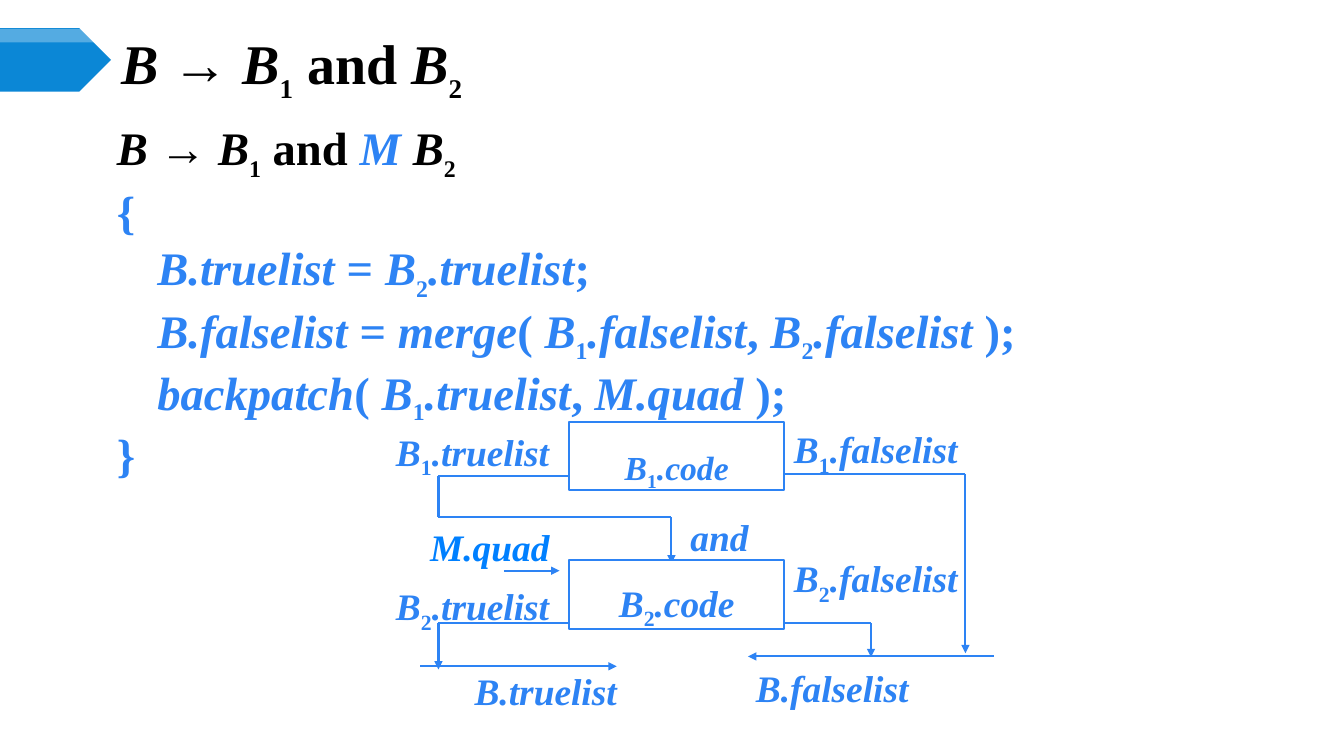
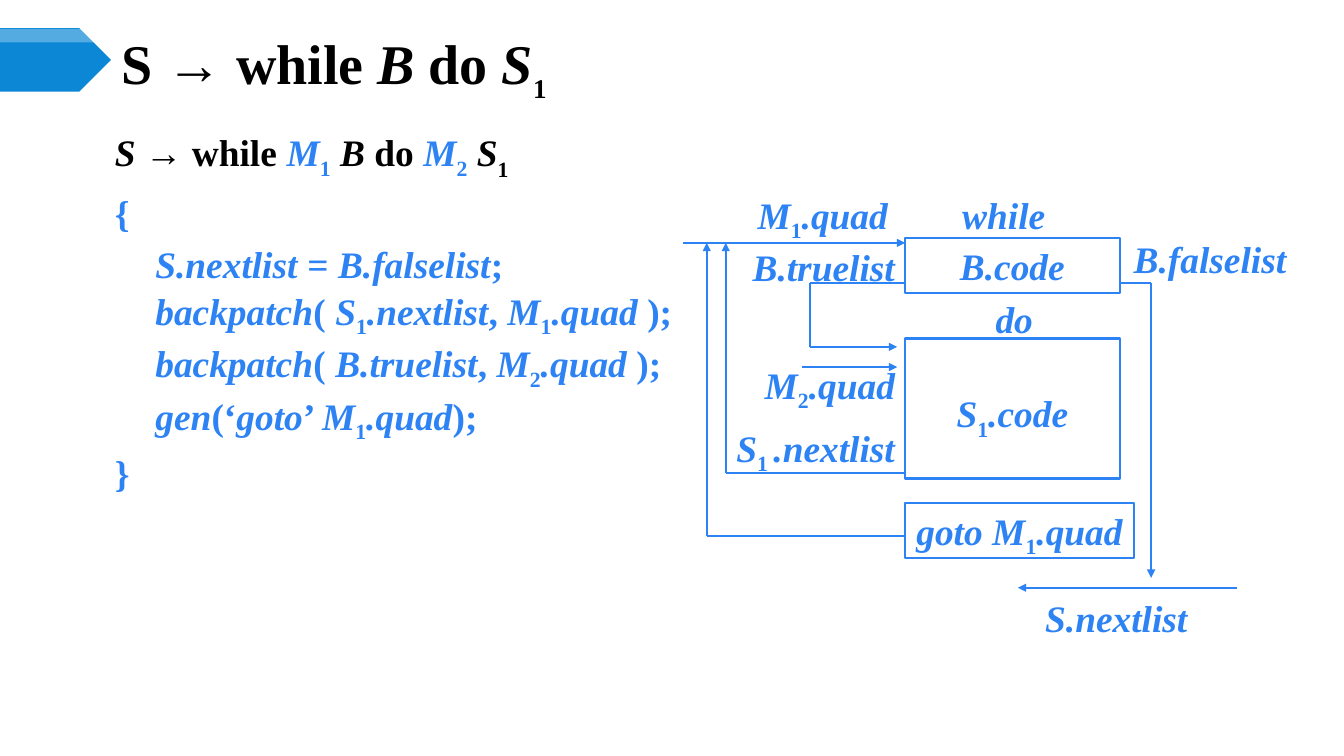
from itertools import groupby, pairwise

from lxml import etree
from pptx import Presentation
from pptx import util as u
from pptx.dml.color import RGBColor
from pptx.enum import shapes, text
from pptx.oxml import ns

FONT = "Times New Roman"
COLORS = {
    "black": "000000",
    "white": "FFFFFF",
    "blue": "2D83F4",
    "bright": "0080FF",
    "band": "0B87D6",
}
INK_MARKS = {"^": "blue", "#": "bright"}
SUB_MARKS = {"_": -25000, "~": -30000}
ITALIC_MARK = "*"
MARKS = {ITALIC_MARK, *INK_MARKS, *SUB_MARKS}

LABEL_SIZE = 26.7
LABEL_WIDTH, LABEL_HEIGHT = 5.5, 1.4
CODE_INDENT = 1.02
LEFT, RIGHT = text.PP_ALIGN.LEFT, text.PP_ALIGN.RIGHT

SLIDES = [
    {
        "title": "*B* → *B*~1~ and *B*~2~",
        "body": {"at": (2.69, 2.87, 27.2, 9.8), "size": 33.3, "sub": 29.3},
        "rule": "*B* → *B*~1~ and ^*M*^ *B*~2~",
        "actions": [
            (0, 0, "{"),
            (1, 0, "*B.truelist* = *B~2~.truelist*;"),
            (1, 0, "*B.falselist* = *merge*( *B_1_.falselist*, *B_2_.falselist* );"),
            (1, 0, "*backpatch*( *B_1_.truelist*, *M.quad* );"),
            (0, 0, "}"),
        ],
        "routes": [
            [(14.35, 11.99), (11.05, 11.99), (11.05, 13.03), (16.92, 13.03), (16.92, 14.2)],
            [(12.7, 14.38), (14.1, 14.38)],
            [(19.76, 11.94), (24.33, 11.94), (24.33, 16.46)],
            [(14.35, 15.7), (11.05, 15.7), (11.05, 16.87)],
            [(19.76, 15.7), (21.95, 15.7), (21.95, 16.56)],
            [(10.59, 16.79), (15.54, 16.79)],
            [(25.04, 16.54), (18.85, 16.54)],
        ],
        "blocks": [
            ("*B_1_.code", (14.35, 10.64, 5.41, 1.7), 0.61, 24),
            ("*B_2_.code", (14.35, 14.12, 5.41, 1.73), 0.5, LABEL_SIZE),
        ],
        "labels": [
            ("*#M.quad", 10.59, 13.08, LEFT),
            ("*B_1_.truelist", 9.73, 10.69, LEFT),
            ("*B_2_.truelist", 9.73, 14.58, LEFT),
            ("*B_1_.falselist", 19.76, 10.62, LEFT),
            ("*B_2_.falselist", 19.76, 13.87, LEFT),
            ("*and", 17.15, 12.83, LEFT),
            ("*B.truelist", 11.71, 16.71, LEFT),
            ("*B.falselist", 18.8, 16.64, LEFT),
        ],
    },
    {
        "title": "S → while *B* do *S*~1~",
        "body": {"at": (2.64, 3.13, 15.5, 10.5), "size": 26.7, "sub": 26.7},
        "rule": "*S* → while ^*M*_1_^ *B* do ^*M*_2_^ *S*~1~",
        "actions": [
            (0, 5.5, "{"),
            (1, 4.5, "*S.nextlist* = *B.falselist*;"),
            (1, 1.5, "*backpatch*( *S_1_.nextlist*, *M_1_.quad* );"),
            (1, 1, "*backpatch*( *B.truelist*, *M_2_.quad* );"),
            (1, 1, "*gen*(‘*goto*’ *M_1_.quad*);"),
            (0, 4.5, "}"),
        ],
        "routes": [
            [(17.22, 6.12), (22.81, 6.12)],
            [(22.81, 7.14), (20.42, 7.14), (20.42, 8.74), (22.61, 8.74)],
            [(20.22, 9.25), (22.61, 9.25)],
            [(22.81, 11.91), (18.29, 11.91), (18.29, 6.12)],
            [(22.81, 13.51), (17.81, 13.51), (17.81, 6.12)],
            [(28.22, 7.14), (29.01, 7.14), (29.01, 14.56)],
            [(31.17, 14.81), (25.65, 14.81)],
        ],
        "blocks": [
            ("*B.code", (22.81, 5.99, 5.41, 1.4), 0.13, LABEL_SIZE),
            ("*S_1_.code", (22.81, 8.53, 5.41, 3.53), 1.31, LABEL_SIZE),
            ("*goto M_1_.quad", (22.81, 12.67, 5.77, 1.4), 0.13, LABEL_SIZE),
        ],
        "labels": [
            ("*M_1_.quad", 22.63, 4.72, RIGHT),
            ("*while", 24, 4.72, LEFT),
            ("*B.truelist", 22.81, 6.02, RIGHT),
            ("*B.falselist", 28.32, 5.82, LEFT),
            ("*do", 24.84, 7.34, LEFT),
            ("*M_2_.quad", 22.81, 8.99, RIGHT),
            ("*S_1 _.nextlist", 22.81, 10.59, RIGHT),
            ("*S.nextlist", 26.09, 14.86, LEFT),
        ],
    },
]


def color(name):
    return RGBColor.from_string(COLORS[name])


def cm(values):
    return [u.Cm(value) for value in values]


def place(shape, box):
    shape.left, shape.top, shape.width, shape.height = cm(box)


def marked(markup):
    active = frozenset()
    for char in markup:
        if char in MARKS:
            active ^= {char}
        else:
            yield char, active


def write(paragraph, markup, size, ink="blue", sub=None, align=LEFT):
    paragraph.alignment = align
    font = paragraph.font
    font.name, font.size, font.bold = FONT, u.Pt(size), True
    font.color.rgb = color(ink)
    for active, chars in groupby(marked(markup), key=lambda pair: pair[1]):
        run = paragraph.add_run()
        run.text = "".join(char for char, _ in chars)
        run.font.italic = ITALIC_MARK in active and not active & SUB_MARKS.keys()
        for mark in active & INK_MARKS.keys():
            run.font.color.rgb = color(INK_MARKS[mark])
        for mark in active & SUB_MARKS.keys():
            run.font.size = u.Pt(sub or size)
            run.font._element.set("baseline", str(SUB_MARKS[mark]))


def add_band(slide, layout):
    for top, height, fill, alpha in [(0.71, 1.6, "band", 100), (0.73, 0.34, "white", 30)]:
        band = slide.shapes.add_shape(
            shapes.MSO_SHAPE.PENTAGON, *cm((0, top, 2.8, height)))
        band.shadow.inherit = False
        band.line.fill.background()
        band.fill.solid()
        band.fill.fore_color.rgb = color(fill)
        tint = band.element.spPr.find(".//" + ns.qn("a:srgbClr"))
        etree.SubElement(tint, ns.qn("a:alpha"), val=str(alpha * 1000))
        layout.shapes.element.append(band.element)


def add_title(slide, markup):
    title = slide.shapes.title
    place(title, (2.8, 1, 29.36, 1.32))
    title.text_frame.vertical_anchor = text.MSO_ANCHOR.MIDDLE
    title.text_frame.auto_size = text.MSO_AUTO_SIZE.NONE
    write(title.text_frame.paragraphs[0], markup, 40, "black", 33.3)


def add_rule(slide, content):
    body = slide.placeholders[1]
    style = content["body"]
    place(body, style["at"])
    frame = body.text_frame
    frame.auto_size = text.MSO_AUTO_SIZE.NONE
    lines = [(0, 0, content["rule"]), *content["actions"]]
    for number, (level, before, markup) in enumerate(lines):
        paragraph = frame.add_paragraph() if number else frame.paragraphs[0]
        props = paragraph._p.get_or_add_pPr()
        props.set("marL", str(u.Cm(CODE_INDENT * level)))
        props.set("indent", "0")
        etree.SubElement(props, ns.qn("a:buNone"))
        paragraph.line_spacing = 1.0
        paragraph.space_before = u.Pt(before)
        write(paragraph, markup, style["size"], "blue" if number else "black", style["sub"])


def add_route(slide, points):
    segments = list(pairwise(points))
    for number, (start, end) in enumerate(segments, 1):
        segment = slide.shapes.add_connector(
            shapes.MSO_CONNECTOR.STRAIGHT, *cm(start + end))
        segment.line.color.rgb = color("blue")
        segment.line.width = u.Pt(1.5)
        if number == len(segments):
            etree.SubElement(segment.line._get_or_add_ln(), ns.qn("a:tailEnd"), type="triangle")
        etree.SubElement(segment.element.spPr, ns.qn("a:effectLst"))


def add_block(slide, markup, box, drop, size):
    block = slide.shapes.add_shape(shapes.MSO_SHAPE.RECTANGLE, *cm(box))
    block.shadow.inherit = False
    block.fill.solid()
    block.fill.fore_color.rgb = color("white")
    block.line.color.rgb = color("blue")
    block.line.width = u.Pt(1.5)
    frame = block.text_frame
    frame.vertical_anchor = text.MSO_ANCHOR.TOP
    frame.margin_top, frame.margin_bottom = cm((drop, 0))
    write(frame.paragraphs[0], markup, size, align=text.PP_ALIGN.CENTER)


def add_label(slide, markup, edge, top, align):
    left = edge - LABEL_WIDTH if align == RIGHT else edge
    label = slide.shapes.add_textbox(*cm((left, top, LABEL_WIDTH, LABEL_HEIGHT)))
    label.text_frame.word_wrap = True
    write(label.text_frame.paragraphs[0], markup, LABEL_SIZE, align=align)


def main():
    deck = Presentation()
    deck.slide_width, deck.slide_height = cm((33.87, 19.05))
    layout = deck.slide_layouts[1]
    for number, content in enumerate(SLIDES):
        slide = deck.slides.add_slide(layout)
        if number == 0:
            add_band(slide, layout)
        add_title(slide, content["title"])
        add_rule(slide, content)
        for points in content["routes"]:
            add_route(slide, points)
        for block in content["blocks"]:
            add_block(slide, *block)
        for label in content["labels"]:
            add_label(slide, *label)
    deck.save("out.pptx")


if __name__ == "__main__":
    main()
